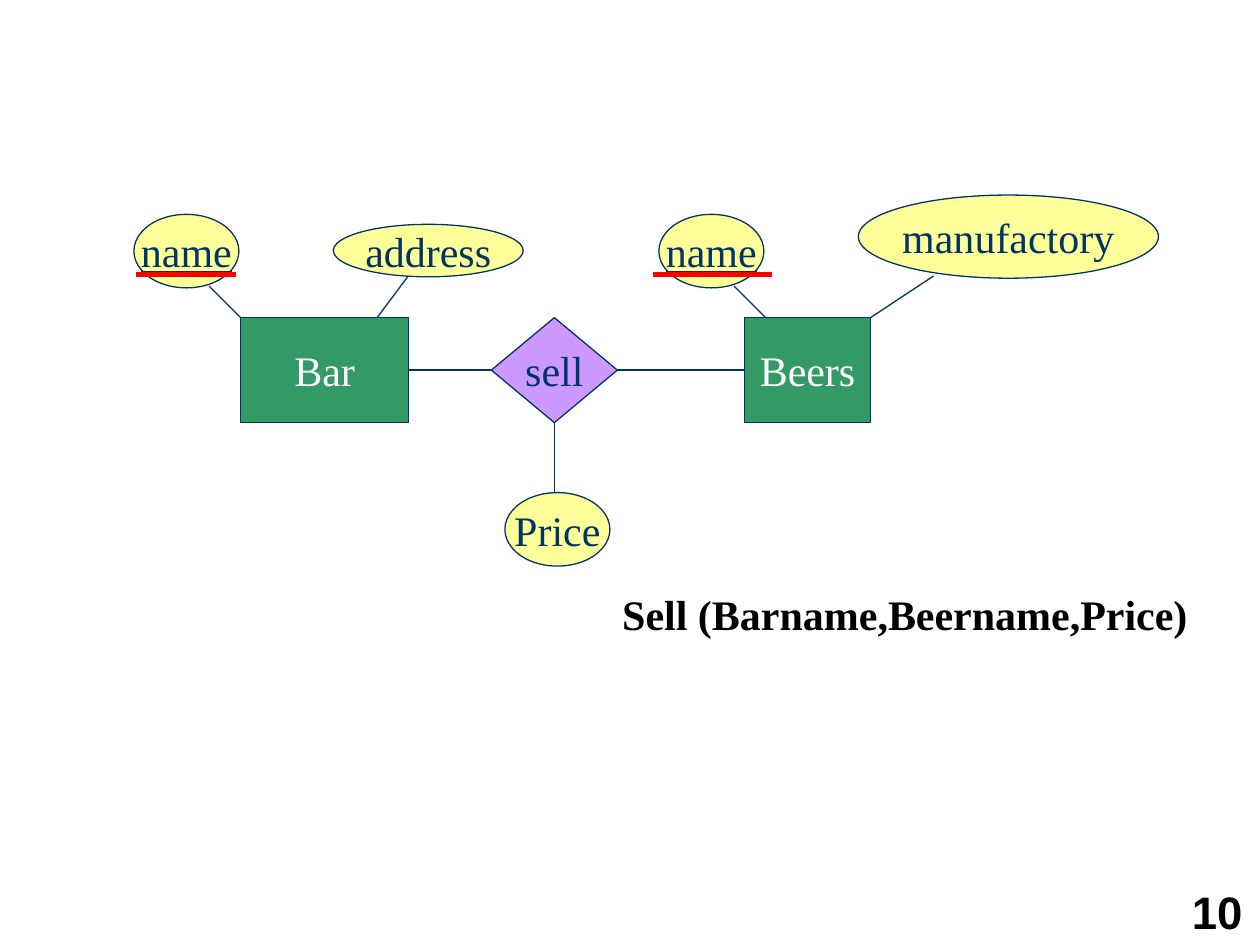
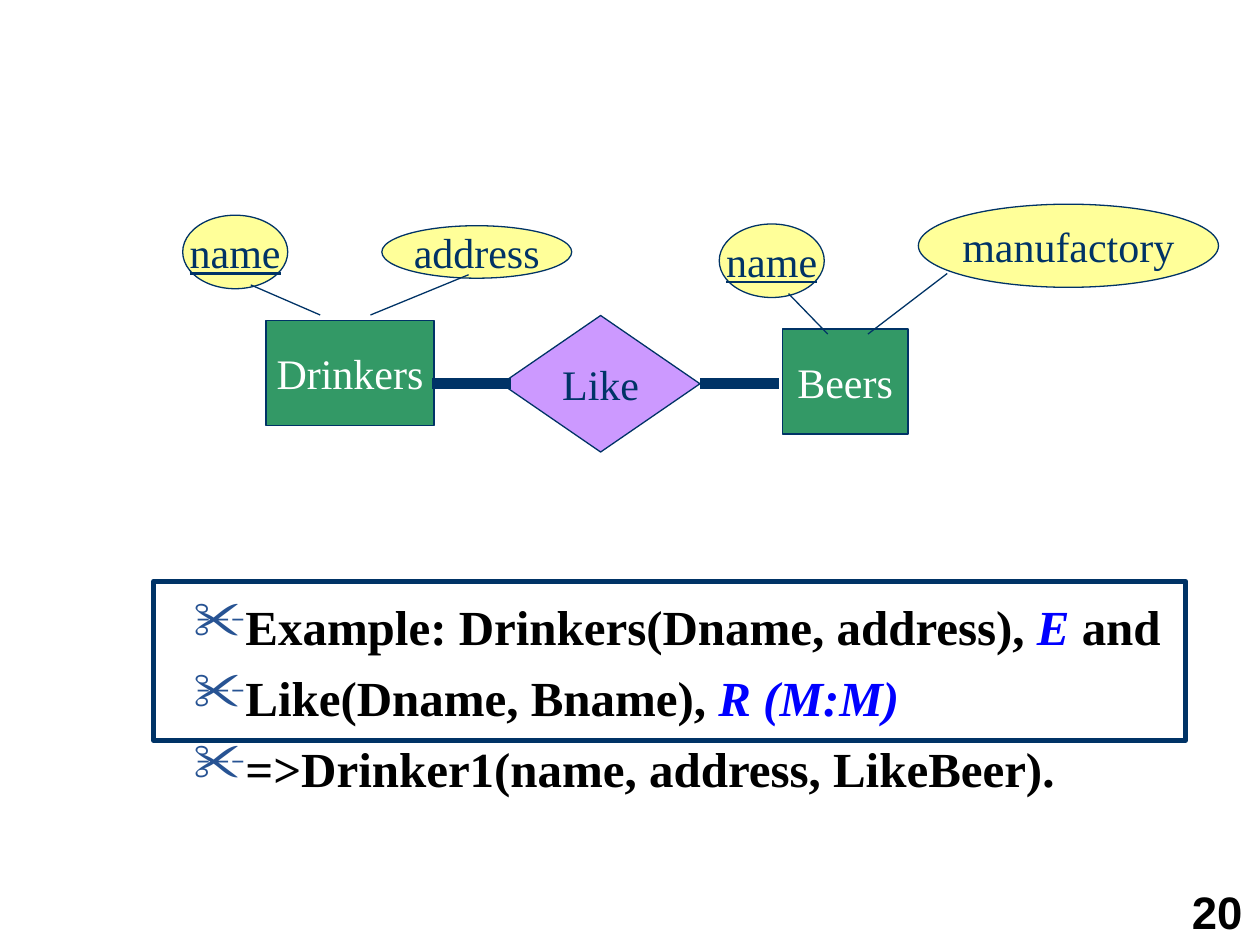
from lxml import etree
from pptx import Presentation
from pptx.dml.color import RGBColor
from pptx.enum.shapes import MSO_CONNECTOR as Connector, MSO_SHAPE as Preset
from pptx.enum.text import MSO_ANCHOR as Anchor, PP_ALIGN as Align
from pptx.oxml.ns import qn
from pptx.util import Pt

NAVY, GREEN, LILAC, YELLOW = "003366", "339966", "CC99FF", "FFFF99"
WHITE, BLACK, RED, BLUE, BULLET_BLUE = "FFFFFF", "000000", "FF0000", "0000FF", "275393"
SERIF, SANS = "Times New Roman", "Arial"
ENTITY_HEIGHT = 60
ATTRIBUTE_SIZES = {"name": (60, 42), "Price": (60, 42),
                   "address": (108.5, 30), "manufactory": (171.5, 47.5)}


def color(value):
    return RGBColor.from_string(value)


def add_scissors(paragraph):
    properties = paragraph._p.get_or_add_pPr()
    properties.set("marL", "0")
    properties.set("indent", "0")
    bullet_color = etree.SubElement(properties, qn("a:buClr"))
    etree.SubElement(bullet_color, qn("a:srgbClr"), val=BULLET_BLUE)
    etree.SubElement(properties, qn("a:buSzPct"), val="110000")
    etree.SubElement(properties, qn("a:buChar"), char="✂")


def write_text(shape, *lines, size=24, font=SERIF, fill=BLACK, bold=False, underline=False,
               align=Align.LEFT, anchor=Anchor.TOP, wrap=True, before=0, bullets=False):
    frame = shape.text_frame
    frame.word_wrap = wrap
    frame.vertical_anchor = anchor
    for index, line in enumerate(lines):
        paragraph = frame.add_paragraph() if index else frame.paragraphs[0]
        paragraph.alignment = align
        paragraph.space_before = Pt(before)
        if bullets:
            add_scissors(paragraph)
        for text, emphasis in [(line, False)] if isinstance(line, str) else line:
            run = paragraph.add_run()
            run.text = text
            run.font.name = font
            run.font.size = Pt(size)
            run.font.bold = bold
            run.font.italic = emphasis
            run.font.underline = underline
            run.font.color.rgb = color(BLUE if emphasis else fill)


def add_text(slide, box, *lines, **text_format):
    shape = slide.shapes.add_textbox(*map(Pt, box))
    write_text(shape, *lines, **text_format)


def add_figure(slide, preset, box, fill=None, line_width=0.75):
    shape = slide.shapes.add_shape(preset, *map(Pt, box))
    shape.shadow.inherit = False
    if fill:
        shape.fill.solid()
        shape.fill.fore_color.rgb = color(fill)
    else:
        shape.fill.background()
    shape.line.color.rgb = color(NAVY)
    shape.line.width = Pt(line_width)
    return shape


def add_node(slide, preset, box, label, fill, ink=NAVY, underline=False):
    shape = add_figure(slide, preset, box, fill)
    write_text(shape, label, fill=ink, underline=underline,
               align=Align.CENTER, anchor=Anchor.MIDDLE, wrap=False)


def add_line(slide, x1, y1, x2, y2, stroke=NAVY, width=0.75):
    line = slide.shapes.add_connector(Connector.STRAIGHT, Pt(x1), Pt(y1), Pt(x2), Pt(y2))
    line.line.color.rgb = color(stroke)
    line.line.width = Pt(width)
    etree.SubElement(line._element.spPr, qn("a:effectLst"))


def add_attribute(slide, left, top, label):
    box = (left, top, *ATTRIBUTE_SIZES[label])
    add_node(slide, Preset.OVAL, box, label, YELLOW, underline=label == "name")


def add_entity(slide, left, top, width, label, attributes):
    add_node(slide, Preset.RECTANGLE, (left, top, width, ENTITY_HEIGHT), label, GREEN, WHITE)
    for name, (x, y), (x1, y1, x2, y2) in attributes:
        add_attribute(slide, left + x, top + y, name)
        add_line(slide, left + x1, top + y1, left + x2, top + y2)


def add_relationship(slide, box, label, left_reach, right_reach, width=0.75, overlap=0):
    left, top, diamond_width, height = box
    middle, right = top + height / 2, left + diamond_width
    add_node(slide, Preset.DIAMOND, box, label, LILAC)
    add_line(slide, left_reach, middle, left + overlap, middle, width=width)
    add_line(slide, right, middle, right_reach, middle, width=width)


def add_numbered_slide(presentation, number):
    slide = presentation.slides.add_slide(presentation.slide_layouts[6])
    add_text(slide, (674, 501, 46, 39), number, size=26, font=SANS, bold=True,
             anchor=Anchor.BOTTOM)
    return slide


def build_sell_slide(presentation):
    slide = add_numbered_slide(presentation, "10")
    top = 181.5
    add_entity(slide, 137.5, top, 96, "Bar", [
        ("name", (-61, -59), (-18, -18, 0, 0)),
        ("address", (53, -53.3), (95.8, -23.8, 78, 0))])
    add_entity(slide, 425.5, top, 72, "Beers", [
        ("name", (-49, -59), (-6, -18, 12, 0)),
        ("manufactory", (65, -70), (108, -23.8, 72, 0))])
    add_relationship(slide, (280.8, top, 72, 60), "sell", 233, 425)
    add_line(slide, 317, 241.5, 317, 281.5)
    add_attribute(slide, 288.5, 281.5, "Price")
    for start, end in [(78, 134.7), (373, 441)]:
        add_line(slide, start, 156.7, end, 156.7, stroke=RED, width=3)
    add_text(slide, (348.5, 332.6, 344, 36), "Sell (Barname,Beername,Price)", bold=True)


def add_example(slide, left, top, width, height):
    add_text(slide, (left + 15.8, top + 5, width - 15, 155.5),
             [("Example: Drinkers(Dname, address), ", False), ("E", True), (" and", False)],
             [("Like(Dname, Bname), ", False), ("R (M:M)", True)],
             "=>Drinker1(name, address, LikeBeer).",
             size=28, bold=True, before=7, bullets=True)
    add_figure(slide, Preset.RECTANGLE, (left, top, width, height), line_width=3)


def build_like_slide(presentation):
    slide = add_numbered_slide(presentation, "20")
    add_entity(slide, 152, 183, 96, "Drinkers", [
        ("name", (-47.6, -60), (-8.7, -20.2, 31, -3)),
        ("address", (66.2, -54), (115.8, -26, 59.7, -3))])
    add_entity(slide, 447, 188, 72, "Beers", [
        ("name", (-36, -60), (3.6, -20.2, 26, 2.9)),
        ("manufactory", (77.8, -71.3), (94.3, -31.7, 49, 2.9))])
    add_relationship(slide, (286.5, 180.3, 113.5, 78), "Like", 247, 445, width=6, overlap=5.5)
    add_example(slide, 87.8, 332.3, 589.7, 90.7)


def main():
    presentation = Presentation()
    presentation.slide_width, presentation.slide_height = Pt(720), Pt(540)
    build_sell_slide(presentation)
    build_like_slide(presentation)
    presentation.save("out.pptx")


if __name__ == "__main__":
    main()
